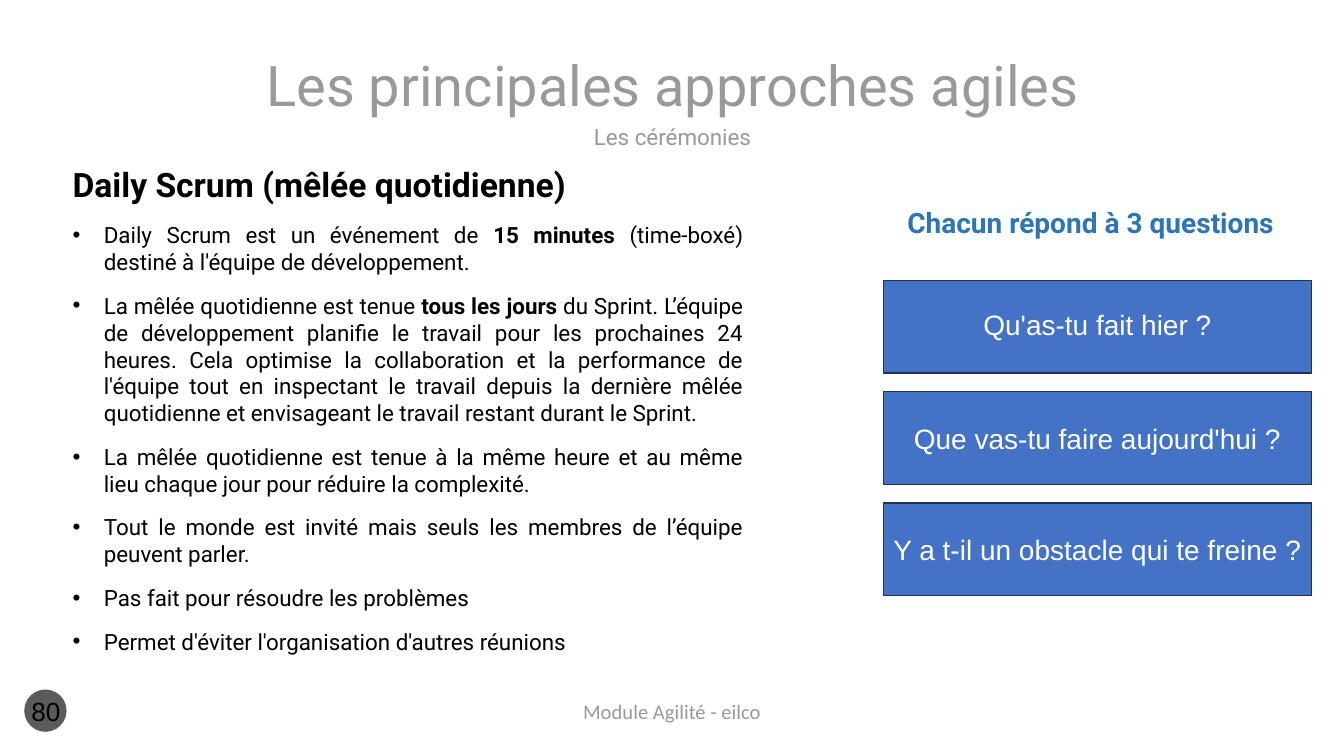
from lxml import etree
from pptx import Presentation
from pptx.dml.color import RGBColor
from pptx.enum.shapes import MSO_SHAPE
from pptx.enum.text import MSO_ANCHOR, PP_ALIGN
from pptx.oxml.ns import qn
from pptx.util import Inches, Pt

CENTER, LEFT, JUSTIFY = PP_ALIGN.CENTER, PP_ALIGN.LEFT, PP_ALIGN.JUSTIFY
TOP, MIDDLE = MSO_ANCHOR.TOP, MSO_ANCHOR.MIDDLE
RECTANGLE, OVAL = MSO_SHAPE.RECTANGLE, MSO_SHAPE.OVAL

GREY, BLACK, WHITE = "999999", "000000", "FFFFFF"
BADGE_GREY, BOX_BLUE, BOX_EDGE, HEADING_BLUE = "5B5B5B", "4472C4", "1E3256", "2E75B6"

# Each point is a list of (text, bold) runs
DAILY_POINTS = [
    [("Daily Scrum est un événement de ", False), ("15 minutes ", True),
     ("(time-boxé) destiné à l'équipe de développement.", False)],
    [("La mêlée quotidienne est tenue ", False), ("tous les jours ", True),
     ("du Sprint. L’équipe de développement planifie le travail pour les prochaines "
      "24 heures. Cela optimise la collaboration et la performance de l'équipe tout en "
      "inspectant le travail depuis la dernière mêlée quotidienne et envisageant le "
      "travail restant durant le Sprint.", False)],
    [("La mêlée quotidienne est tenue à la même heure et au même lieu chaque jour "
      "pour réduire la complexité.", False)],
    [("Tout le monde est invité mais seuls les membres de l’équipe peuvent parler.", False)],
    [("Pas fait pour résoudre les problèmes", False)],
    [("Permet d'éviter l'organisation d'autres réunions", False)],
]
# Question and its line spacing
QUESTIONS = [
    ("Qu'as-tu fait hier ?", 0.87),
    ("Que vas-tu faire aujourd'hui ?", 1.0),
    ("Y a t-il un obstacle qui te freine ?", 1.0),
]


def rgb(value):
    return RGBColor.from_string(value)


def add_run(paragraph, text, size, font, color, bold=False):
    run = paragraph.add_run()
    run.text = text
    run.font.size = Pt(size)
    run.font.name = font
    run.font.bold = bold
    run.font.color.rgb = rgb(color)


def set_frame(frame, anchor, inset_x, inset_y):
    frame.word_wrap = True
    frame.vertical_anchor = anchor
    frame.margin_left = frame.margin_right = Inches(inset_x)
    frame.margin_top = frame.margin_bottom = Inches(inset_y)


def add_text(slide, left, top, width, height, anchor=TOP, inset_x=0.1, inset_y=0.1):
    box = slide.shapes.add_textbox(Inches(left), Inches(top), Inches(width), Inches(height))
    set_frame(box.text_frame, anchor, inset_x, inset_y)
    return box.text_frame


def add_line(slide, left, top, width, height, text, size, font, color, bold=False,
             align=CENTER, **frame_options):
    paragraph = add_text(slide, left, top, width, height, **frame_options).paragraphs[0]
    paragraph.alignment = align
    add_run(paragraph, text, size, font, color, bold)


def add_box(slide, preset, left, top, width, height, fill, edge=None):
    box = slide.shapes.add_shape(preset, Inches(left), Inches(top), Inches(width), Inches(height))
    box.shadow.inherit = False
    box.fill.solid()
    box.fill.fore_color.rgb = rgb(fill)
    if edge:
        box.line.color.rgb = rgb(edge)
        box.line.width = Pt(1)
    else:
        box.line.fill.background()
    return box


def add_bullet(paragraph, indent):
    properties = paragraph._p.get_or_add_pPr()
    properties.set("marL", str(Inches(indent)))
    properties.set("indent", str(-Inches(indent)))
    color = etree.SubElement(properties, qn("a:buClr"))
    etree.SubElement(color, qn("a:srgbClr"), val=BLACK)
    etree.SubElement(properties, qn("a:buFont"), typeface="Arial")
    etree.SubElement(properties, qn("a:buChar"), char="•")


def add_header(slide, left, top, width):
    add_line(slide, left, top, width, 0.54, "Les principales approches agiles",
             40, "Roboto", GREY, anchor=MIDDLE)
    add_line(slide, left, top + 0.65, width, 0.29, "Les cérémonies",
             16, "Roboto", GREY, anchor=MIDDLE)


def add_daily_scrum(slide, left, top, width, height):
    frame = add_text(slide, left, top, width, height, inset_x=0.13, inset_y=0.13)
    add_run(frame.paragraphs[0], "Daily Scrum (mêlée quotidienne)", 24, "Roboto", BLACK, True)
    for point in DAILY_POINTS:
        paragraph = frame.add_paragraph()
        paragraph.alignment = JUSTIFY
        paragraph.space_before = Pt(12)
        add_bullet(paragraph, 0.31)
        for text, bold in point:
            add_run(paragraph, text, 16, "Roboto", BLACK, bold)


def add_questions(slide, left, top, width):
    add_line(slide, left + 0.14, top, width - 0.13, 0.44, "Chacun répond à 3 questions",
             20, "Roboto", HEADING_BLUE, True, align=LEFT, inset_y=0.05)
    for row, (question, spacing) in enumerate(QUESTIONS):
        box = add_box(slide, RECTANGLE, left, top + 0.79 + row * 1.105, width, 0.92,
                      BOX_BLUE, BOX_EDGE)
        set_frame(box.text_frame, MIDDLE, 0.1, 0.05)
        paragraph = box.text_frame.paragraphs[0]
        paragraph.alignment = CENTER
        paragraph.line_spacing = spacing
        add_run(paragraph, question, 20, "Arial", WHITE)


def add_footer(slide, left, top):
    # Page badge
    add_box(slide, OVAL, left, top, 0.42, 0.42, BADGE_GREY)
    add_line(slide, left - 0.12, top + 0.01, 0.67, 0.4, "80", 18.7, "Arial", BLACK,
             anchor=MIDDLE, inset_x=0.13, inset_y=0.07)
    # Course name
    add_line(slide, left + 0.77, top + 0.09, 11.31, 0.4, "Module Agilité - eilco",
             14.7, "Calibri", GREY, inset_x=0, inset_y=0)


def main():
    deck = Presentation()
    deck.slide_width, deck.slide_height = Inches(13.33), Inches(7.5)
    slide = deck.slides.add_slide(deck.slide_layouts[6])
    add_footer(slide, 0.24, 6.84)
    add_daily_scrum(slide, 0.59, 1.5, 6.91, 5.61)
    add_header(slide, 2.53, 0.56, 8.28)
    add_questions(slide, 8.76, 1.99, 4.25)
    deck.save("out.pptx")


if __name__ == "__main__":
    main()
